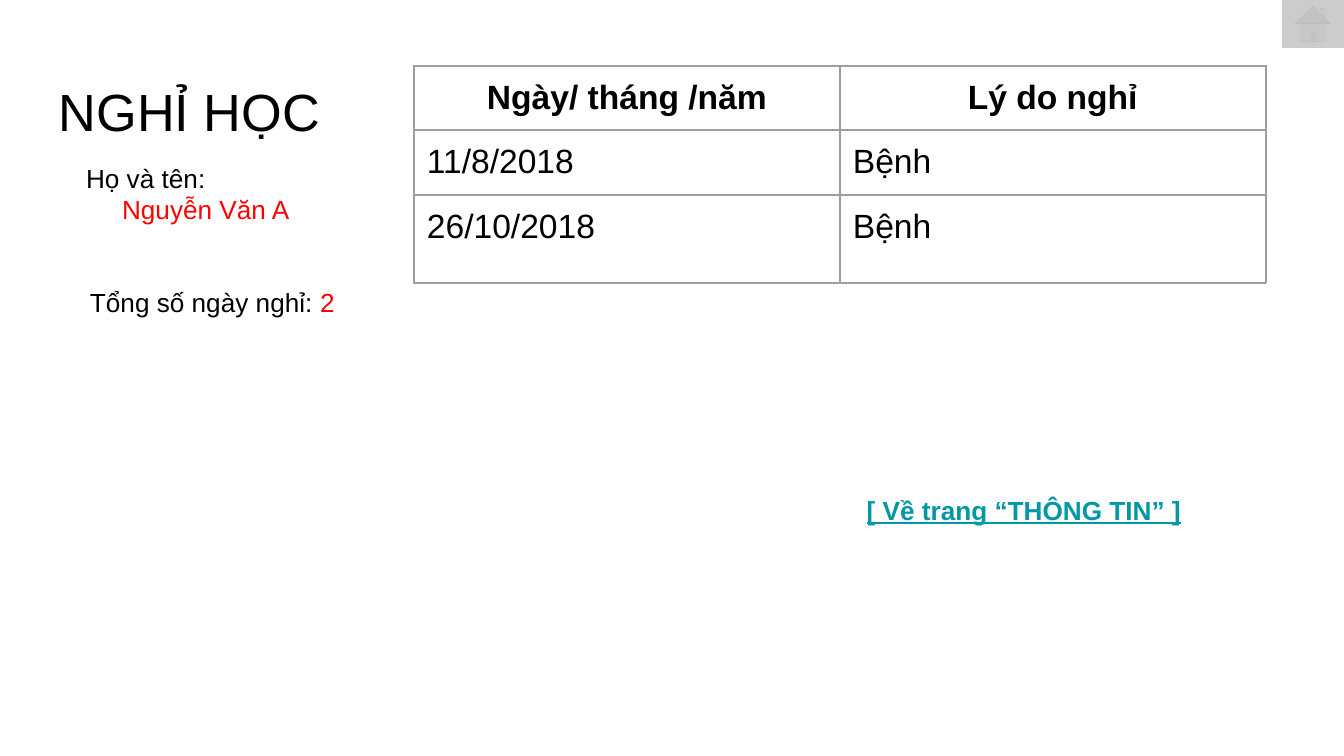
from lxml import etree
from pptx import Presentation
from pptx.dml.color import RGBColor
from pptx.enum.shapes import MSO_SHAPE
from pptx.enum.text import MSO_ANCHOR, MSO_AUTO_SIZE, PP_ALIGN
from pptx.oxml.ns import qn
from pptx.util import Emu, Pt

TOP = MSO_ANCHOR.TOP
LEFT, CENTER = PP_ALIGN.LEFT, PP_ALIGN.CENTER
FIXED = MSO_AUTO_SIZE.NONE
HOME_BUTTON = MSO_SHAPE.ACTION_BUTTON_HOME

BLACK = RGBColor(0x00, 0x00, 0x00)
RED = RGBColor(0xFF, 0x00, 0x00)
TEAL = RGBColor(0x00, 0x97, 0xA7)
GRAY = RGBColor(0x59, 0x59, 0x59)
BORDER = RGBColor(0x9E, 0x9E, 0x9E)

PX = 914400 / 134.4
INSET = Emu(round(13 * PX))
MARGINS = {f"margin_{side}": INSET for side in ("left", "top", "right", "bottom")}


def place(*lengths):
    return [Emu(round(length * PX)) for length in lengths]


def write(para, spans, size, align=LEFT, **extra):
    para.alignment = align
    for text, color in spans:
        span = para.add_run()
        span.text = text
        span.font.color.rgb = color
        for name, value in {"name": "Arial", "size": Pt(size), **extra}.items():
            setattr(span.font, name, value)


deck = Presentation()
deck.slide_width, deck.slide_height = place(1344, 756)
page = deck.slides.add_slide(deck.slide_layouts[5])

title = page.shapes.title
title.left, title.top, title.width, title.height = place(46, 66, 1253, 85)
name_box = page.shapes.add_textbox(*place(73, 149, 262, 85))
total_box = page.shapes.add_textbox(*place(77, 273, 300, 85))
link_box = page.shapes.add_textbox(*place(828, 481, 392, 120))
frame_format = {"word_wrap": True, "auto_size": FIXED, "vertical_anchor": TOP, **MARGINS}
for box in (title, name_box, total_box, link_box):
    for name, value in frame_format.items():
        setattr(box.text_frame, name, value)

write(title.text_frame.paragraphs[0], [("NGHỈ HỌC", BLACK)], 28)
write(name_box.text_frame.paragraphs[0], [("Họ và tên:", BLACK)], 14)
name_line = name_box.text_frame.add_paragraph()
name_line._p.get_or_add_pPr().set("marL", str(place(36)[0]))
write(name_line, [("Nguyễn Văn A", RED)], 14)
write(total_box.text_frame.paragraphs[0], [("Tổng số ngày nghỉ: ", BLACK), ("2", RED)], 14)
write(link_box.text_frame.paragraphs[0], [("[ Về trang “THÔNG TIN” ]", TEAL)], 14, CENTER,
      bold=True, underline=True)

absences = [
    ("Ngày/ tháng /năm", "Lý do nghỉ"),
    ("11/8/2018", "Bệnh"),
    ("26/10/2018", "Bệnh"),
]
table = page.shapes.add_table(3, 2, *place(414, 66, 852, 217)).table
table.first_row = table.horz_banding = False
for column in table.columns:
    column.width = place(426)[0]
for row, height in zip(table.rows, place(64, 65, 88)):
    row.height = height

for row_index, texts in enumerate(absences):
    header = row_index == 0
    for column_index, text in enumerate(texts):
        cell = table.cell(row_index, column_index)
        for name, value in {"vertical_anchor": TOP, **MARGINS}.items():
            setattr(cell, name, value)
        write(cell.text_frame.paragraphs[0], [(text, BLACK)], 18,
              CENTER if header else LEFT, bold=header)
        properties = cell._tc.get_or_add_tcPr()
        for edge in ("lnL", "lnR", "lnT", "lnB"):
            line = etree.SubElement(properties, qn(f"a:{edge}"), w=str(Pt(0.75)))
            fill = etree.SubElement(line, qn("a:solidFill"))
            etree.SubElement(fill, qn("a:srgbClr"), val=str(BORDER))
        cell.fill.background()

home = page.shapes.add_shape(HOME_BUTTON, *place(1282, 0, 62, 48))
home.shadow.inherit = False
home.fill.solid()
home.fill.fore_color.rgb = GRAY
home.line.fill.background()
home_color = home._element.spPr.find(qn("a:solidFill")).find(qn("a:srgbClr"))
etree.SubElement(home_color, qn("a:alpha"), val="30000")

deck.save("out.pptx")
